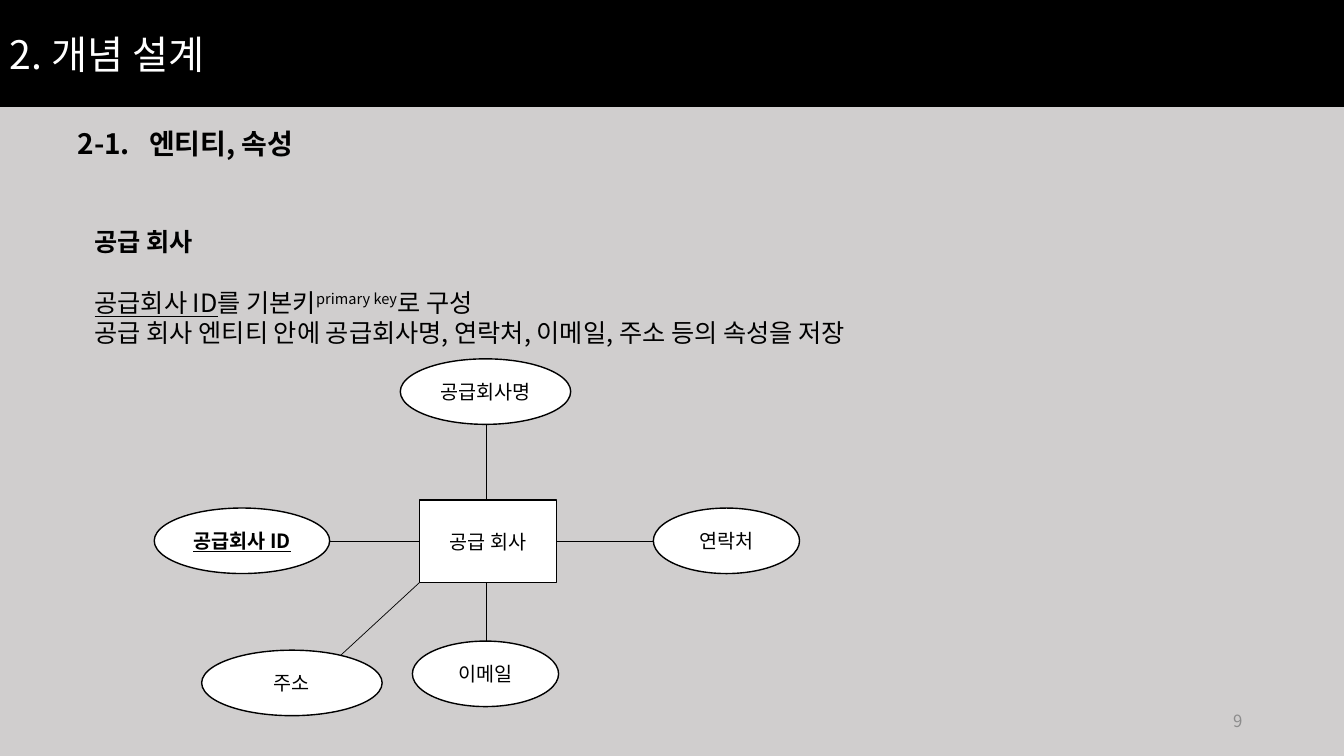
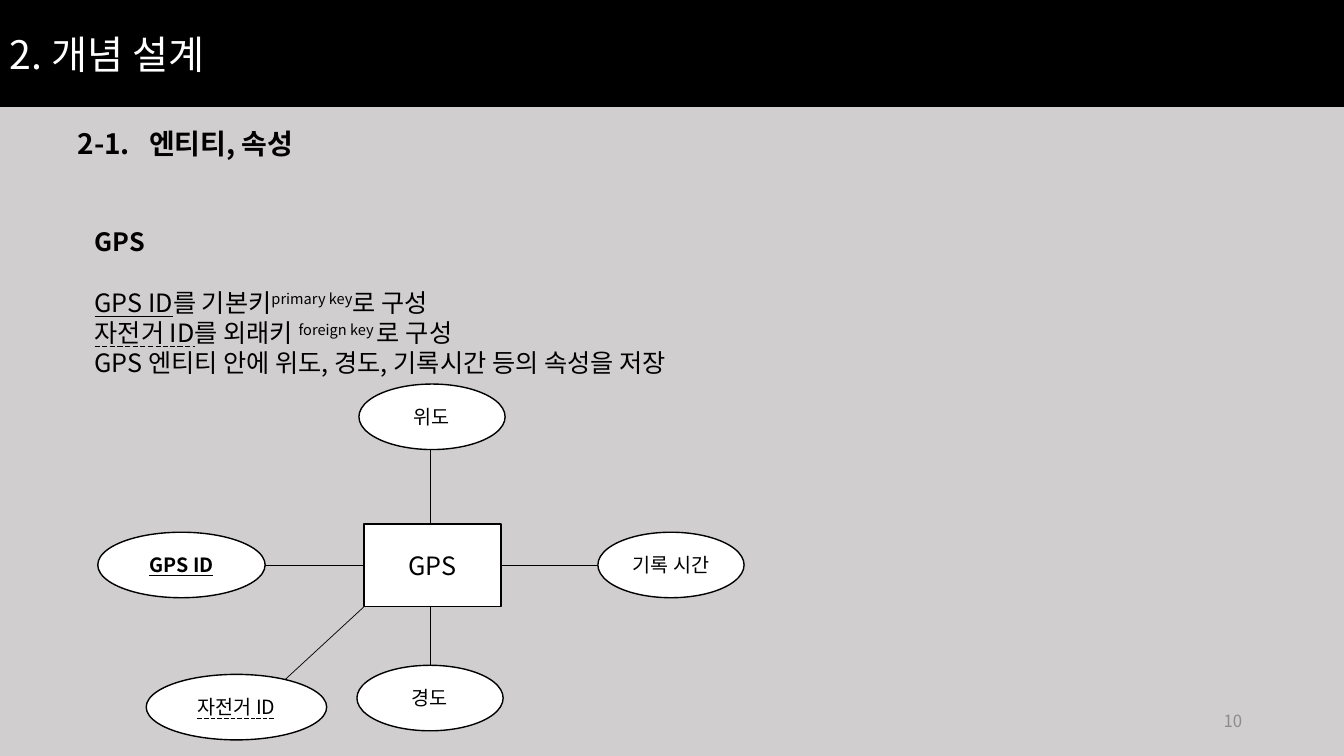
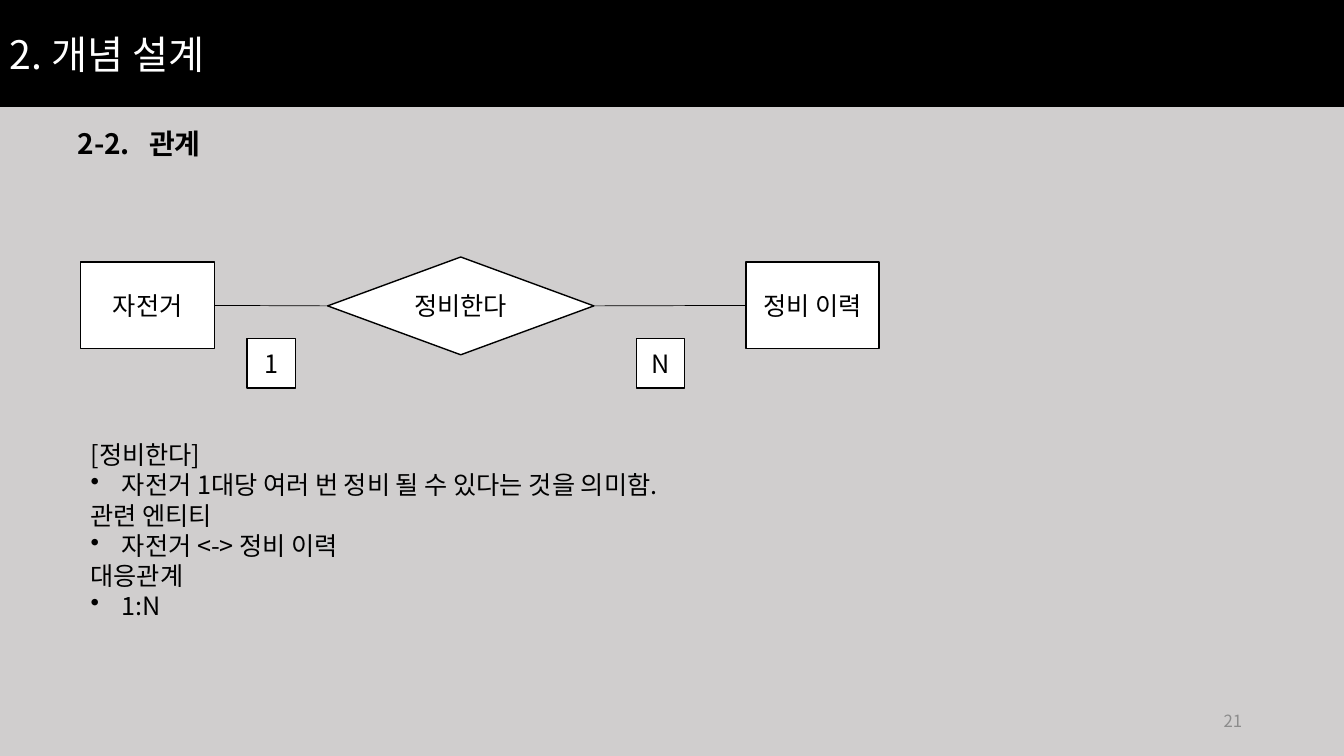
import dataclasses

import pptx
import pptx.dml.color
import pptx.enum.shapes
import pptx.enum.text
import pptx.oxml.ns
import pptx.util
from lxml import etree

Inches = pptx.util.Inches
Pt = pptx.util.Pt
SHAPE = pptx.enum.shapes.MSO_SHAPE
ALIGN = pptx.enum.text.PP_ALIGN
ANCHOR = pptx.enum.text.MSO_ANCHOR
UNDERLINE = pptx.enum.text.MSO_UNDERLINE
qn = pptx.oxml.ns.qn


@dataclasses.dataclass(frozen=True)
class Theme:
    font: str = "Noto Sans CJK KR"
    background: str = "D0CECE"
    ink: str = "000000"
    paper: str = "FFFFFF"
    page: str = "8C8C8C"
    title_size: int = 28
    heading_size: int = 20
    body_size: int = 18
    label_size: int = 14
    page_size: int = 12
    leading: float = 1.2
    outline: float = 1
    link: float = 0.5


@dataclasses.dataclass
class Para:
    runs: list  # (text, style) pairs; style is "", "key", "foreign" or "super"
    bold: bool = False
    bullet: bool = False
    tab: float = 0  # inches
    before: float = 0  # points


def rgb(value):
    return pptx.dml.color.RGBColor.from_string(value)


class Deck:
    def __init__(self, theme):
        self.theme = theme
        self.prs = pptx.Presentation()
        self.prs.slide_width = Inches(13.33)
        self.prs.slide_height = Inches(7.5)
        self.slide = None

    # Slide frame: background, title band, heading, page number
    def new_slide(self, number, heading, page):
        t = self.theme
        self.slide = self.prs.slides.add_slide(self.prs.slide_layouts[6])
        self.slide.background.fill.solid()
        self.slide.background.fill.fore_color.rgb = rgb(t.background)
        band = self.shape(SHAPE.RECTANGLE, 0, 0, 13.33, 1.06, fill=t.ink)
        band.line.fill.background()
        self.set_text(band.text_frame, [Para([("2. 개념 설계", "")])], t.title_size, t.paper)
        self.text(0.67, 1.21, 2.59, 0.44,
                  [Para([(f"{number}\t{heading}", "")], bold=True, tab=0.71)],
                  t.heading_size)
        self.text(9.42, 6.95, 3, 0.4, [Para([(page, "")])], t.page_size,
                  color=t.page, align=ALIGN.RIGHT, anchor=ANCHOR.MIDDLE)

    # Text
    def set_text(self, frame, paras, size, color, align=ALIGN.LEFT, anchor=ANCHOR.MIDDLE):
        frame.word_wrap = True
        frame.vertical_anchor = anchor
        for i, para in enumerate(paras):
            p = frame.add_paragraph() if i else frame.paragraphs[0]
            props = p._p.get_or_add_pPr()
            if para.bullet:
                props.set("marL", str(Inches(0.31)))
                props.set("indent", str(-Inches(0.31)))
                etree.SubElement(props, qn("a:buChar"), char="•")
            if para.tab:
                stops = etree.SubElement(props, qn("a:tabLst"))
                etree.SubElement(stops, qn("a:tab"), pos=str(Inches(para.tab)), algn="l")
            p.alignment = align
            p.line_spacing = Pt(size * self.theme.leading)
            if para.before:
                p.space_before = Pt(para.before)
            p.font.name = self.theme.font
            p.font.size = Pt(size)
            p.font.bold = para.bold
            p.font.color.rgb = rgb(color)
            etree.SubElement(props.find(qn("a:defRPr")), qn("a:ea"),
                             typeface=self.theme.font)
            for text, style in para.runs:
                self.add_run(p, text, style)

    def add_run(self, paragraph, text, style):
        run = paragraph.add_run()
        run.text = text
        if style == "key":
            run.font.underline = True
        elif style == "foreign":
            run.font.underline = UNDERLINE.DASH_LINE
        elif style == "super":
            run._r.get_or_add_rPr().set("baseline", "30000")

    def text(self, left, top, width, height, paras, size, color=None,
             align=ALIGN.LEFT, anchor=ANCHOR.TOP):
        box = self.slide.shapes.add_textbox(
            Inches(left), Inches(top), Inches(width), Inches(height))
        self.set_text(box.text_frame, paras, size, color or self.theme.ink, align, anchor)

    # Shapes and lines
    def shape(self, kind, left, top, width, height, fill):
        shape = self.slide.shapes.add_shape(
            kind, Inches(left), Inches(top), Inches(width), Inches(height))
        shape.shadow.inherit = False
        shape.fill.solid()
        shape.fill.fore_color.rgb = rgb(fill)
        return shape

    def node(self, kind, left, top, width, height, label, size, style="", bold=False):
        t = self.theme
        node = self.shape(kind, left, top, width, height, t.paper)
        node.line.color.rgb = rgb(t.ink)
        node.line.width = Pt(t.outline)
        self.set_text(node.text_frame, [Para([(label, style)], bold=bold)],
                      size, t.ink, ALIGN.CENTER)
        return node

    def link(self, x1, y1, x2, y2, begin=None, end=None):
        """begin and end are (shape, side) pairs."""
        line = self.slide.shapes.add_connector(
            pptx.enum.shapes.MSO_CONNECTOR.STRAIGHT,
            Inches(x1), Inches(y1), Inches(x2), Inches(y2))
        line.line.color.rgb = rgb(self.theme.ink)
        line.line.width = Pt(self.theme.link)
        etree.SubElement(line._element.spPr, qn("a:effectLst"))
        if begin:
            line.begin_connect(*begin)
        if end:
            line.end_connect(*end)

    # Entity with its attributes, all placed from the entity's corner
    def entity_diagram(self, left, top, entity, size, attributes):
        width, height, axis = 1.36, 0.82, 0.66
        middle = top + height / 2
        box = self.node(SHAPE.RECTANGLE, left, top, width, height, entity, size)
        self.link(left + width, middle, left + 2.32, middle, begin=(box, 3))
        self.link(left - 0.98, middle, left, middle, end=(box, 1))
        self.link(left + axis, top + height, left + axis, top + 1.4)
        self.link(left + axis, top - 0.8, left + axis, top)
        self.link(left, top + height, left - 0.78, top + 1.54)
        for dx, dy, oval_width, label, style, bold in attributes:
            self.node(SHAPE.OVAL, left + dx, top + dy, oval_width, 0.65,
                      label, self.theme.label_size, style, bold)


def key_line(name, style, particle, kind, before=0):
    return Para([(name, style), (particle, ""), (kind, "super"), ("로 구성", "")],
                before=before)


def main():
    theme = Theme()
    deck = Deck(theme)
    body = theme.body_size
    blank_line = body * theme.leading

    # Supplier entity
    deck.new_slide("2-1.", "엔티티, 속성", "9")
    deck.text(0.84, 2.2, 8.33, 1.31, [
        Para([("공급 회사", "")], bold=True),
        key_line("공급회사 ID", "key", "를 기본키", "primary key", blank_line),
        Para([("공급 회사 엔티티 안에 공급회사명, 연락처, 이메일, 주소 등의 속성을 저장", "")]),
    ], body)
    deck.entity_diagram(4.16, 4.96, "공급 회사", theme.label_size, [
        (-2.63, 0.08, 1.74, "공급회사 ID", "key", True),
        (-0.19, -1.4, 1.69, "공급회사명", "", False),
        (-0.07, 1.4, 1.45, "이메일", "", False),
        (2.32, 0.08, 1.45, "연락처", "", False),
        (-2.16, 1.49, 1.79, "주소", "", False),
    ])

    # GPS entity
    deck.new_slide("2-1.", "엔티티, 속성", "10")
    deck.text(0.84, 2.2, 7.98, 1.62, [
        Para([("GPS", "")], bold=True),
        key_line("GPS ID", "key", "를 기본키", "primary key", blank_line),
        key_line("자전거 ID", "foreign", "를 외래키 ", "foreign key "),
        Para([("GPS 엔티티 안에 위도, 경도, 기록시간 등의 속성을 저장", "")]),
    ], body)
    deck.entity_diagram(3.61, 5.2, "GPS", body, [
        (-2.64, 0.08, 1.66, "GPS ID", "key", True),
        (-0.05, -1.39, 1.45, "위도", "", False),
        (-0.07, 1.4, 1.45, "경도", "", False),
        (2.32, 0.08, 1.45, "기록 시간", "", False),
        (-2.16, 1.49, 1.79, "자전거 ID", "foreign", False),
    ])

    # Maintenance relationship
    deck.new_slide("2-2.", "관계", "21")
    history = deck.node(SHAPE.RECTANGLE, 7.4, 2.6, 1.32, 0.86, "정비 이력", body)
    bicycle = deck.node(SHAPE.RECTANGLE, 0.8, 2.6, 1.33, 0.86, "자전거", body)
    maintains = deck.node(SHAPE.DIAMOND, 3.25, 2.55, 2.64, 0.97, "정비한다", body)
    deck.link(2.13, 3.04, 3.25, 3.04, (bicycle, 3), (maintains, 1))
    deck.link(5.89, 3.04, 7.4, 3.02, (maintains, 3), (history, 1))
    for left, count in ((2.45, "1"), (6.31, "N")):
        deck.node(SHAPE.RECTANGLE, left, 3.36, 0.48, 0.49, count, body)
    notes = []
    for topic, detail in (
        ("[정비한다]", "자전거 1대당 여러 번 정비 될 수 있다는 것을 의미함."),
        ("관련 엔티티", "자전거 <-> 정비 이력"),
        ("대응관계", "1:N"),
    ):
        notes += [Para([(topic, "")]), Para([(detail, "")], bullet=True)]
    deck.text(0.8, 4.31, 7.92, 1.92, notes, body)

    deck.prs.save("out.pptx")


if __name__ == "__main__":
    main()
